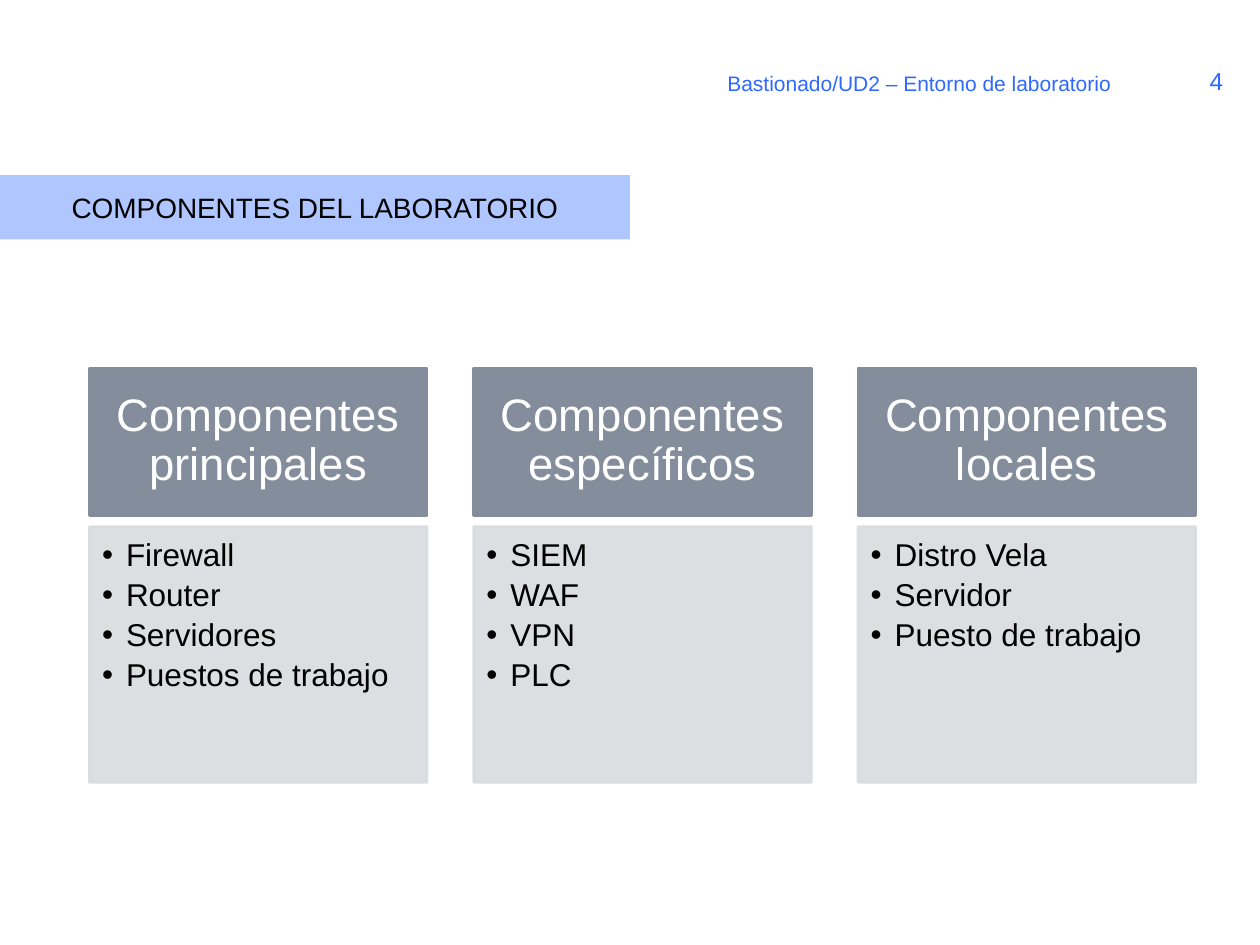
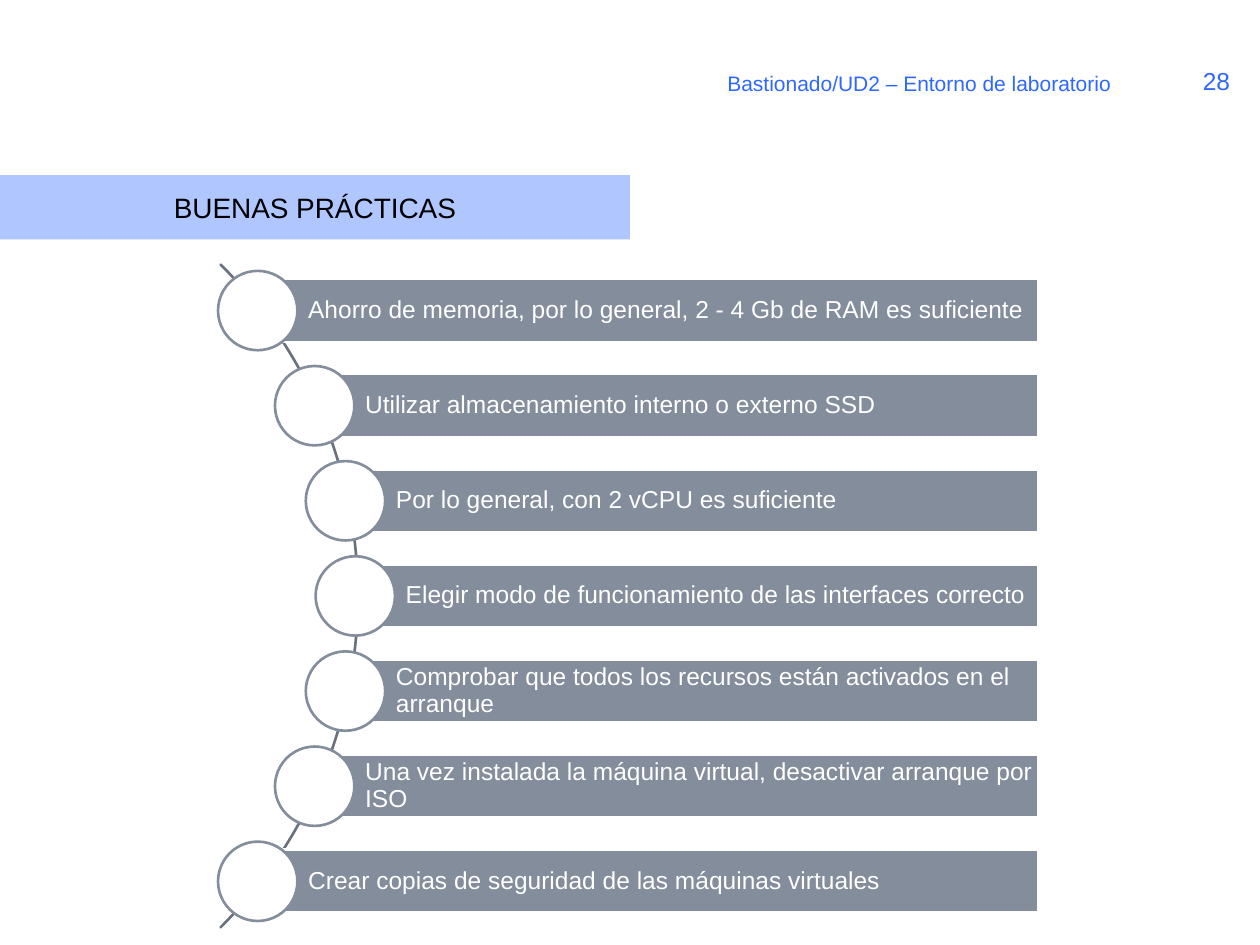
from dataclasses import dataclass
from math import sqrt

from lxml.etree import SubElement
from pptx import Presentation
from pptx.dml.color import RGBColor
from pptx.enum.shapes import MSO_SHAPE
from pptx.enum.text import MSO_ANCHOR, MSO_AUTO_SIZE, PP_ALIGN
from pptx.oxml.ns import qn
from pptx.util import Inches, Pt

COLS, ROWS = 100, 75
WIDTH, HEIGHT = Inches(10), Inches(7.5)
FONT = "Arial"
BLUE, BAND, SLATE, ARC = "2E68FF", "AFC6FF", "838D9B", "69717C"
PALE, WHITE, BLACK = "D9DBDE", "FFFFFF", "000000"
RUNNING_HEAD = "Bastionado/UD2 – Entorno de laboratorio"


@dataclass(frozen=True)
class Box:
    col: float
    row: float
    cols: float
    rows: float

    def place(self, s) -> None:
        s.left, s.top = x(self.col), y(self.row)
        s.width, s.height = x(self.cols), y(self.rows)


@dataclass(frozen=True)
class TextStyle:
    size: float
    color: str
    align: PP_ALIGN = PP_ALIGN.LEFT
    anchor: MSO_ANCHOR = MSO_ANCHOR.MIDDLE
    insets: tuple[float, float, float, float] = (1, 0.5, 1, 0.5)
    spacing: float = 1.0
    after: float = 0
    bullet: bool = False


@dataclass(frozen=True)
class Card:
    heading: str
    items: tuple[str, ...]


NUMBER = TextStyle(14, BLUE, PP_ALIGN.CENTER)
HEAD = TextStyle(12, BLUE, PP_ALIGN.RIGHT, insets=(1, 0, 1, 0.5))
TITLE = TextStyle(16, BLACK, PP_ALIGN.CENTER)
CARD_HEADING = TextStyle(26, WHITE, PP_ALIGN.CENTER, insets=(2, 1.2, 2, 1.2), spacing=0.9)
CARD_LIST = TextStyle(18, BLACK, anchor=MSO_ANCHOR.TOP, insets=(1, 1, 1.4, 1.6),
                      spacing=0.9, after=3.4, bullet=True)
BAR_TEXT = TextStyle(14, WHITE, insets=(4, 0.4, 0.4, 0.4), spacing=0.9)

CARDS = (
    Card("Componentes principales", ("Firewall", "Router", "Servidores", "Puestos de trabajo")),
    Card("Componentes específicos", ("SIEM", "WAF", "VPN", "PLC")),
    Card("Componentes locales", ("Distro Vela", "Servidor", "Puesto de trabajo")),
)
PRACTICES = (
    "Ahorro de memoria, por lo general, 2 - 4 Gb de RAM es suficiente",
    "Utilizar almacenamiento interno o externo SSD",
    "Por lo general, con 2 vCPU es suficiente",
    "Elegir modo de funcionamiento de las interfaces correcto",
    "Comprobar que todos los recursos están activados en el arranque",
    "Una vez instalada la máquina virtual, desactivar arranque por ISO",
    "Crear copias de seguridad de las máquinas virtuales",
)


def x(cols: float) -> int:
    return round(WIDTH * cols / COLS)


def y(rows: float) -> int:
    return round(HEIGHT * rows / ROWS)


def rgb(color: str) -> RGBColor:
    return RGBColor.from_string(color)


def paint(s, fill: str | None, line: str | None = None, opacity: int = 100) -> None:
    s.shadow.inherit = False
    if fill:
        s.fill.solid()
        s.fill.fore_color.rgb = rgb(fill)
    else:
        s.fill.background()
    if line:
        s.line.color.rgb = rgb(line)
        s.line.width = Pt(1.5)
    else:
        s.line.fill.background()
    if opacity < 100:
        for color in s._element.spPr.iter(qn("a:srgbClr")):
            SubElement(color, qn("a:alpha"), val=str(opacity * 1000))


def add_bullet(p) -> None:
    pPr = p._p.get_or_add_pPr()
    pPr.set("marL", str(x(1.9)))
    pPr.set("indent", str(-x(1.9)))
    SubElement(pPr, qn("a:buFont"), typeface=FONT)
    SubElement(pPr, qn("a:buChar"), char="•")


def write(s, lines: tuple[str, ...], style: TextStyle) -> None:
    tf = s.text_frame
    tf.word_wrap = True
    tf.auto_size = MSO_AUTO_SIZE.NONE
    tf.vertical_anchor = style.anchor
    left, top, right, bottom = style.insets
    tf.margin_left, tf.margin_right = x(left), x(right)
    tf.margin_top, tf.margin_bottom = y(top), y(bottom)
    for i, line in enumerate(lines):
        p = tf.paragraphs[0] if i == 0 else tf.add_paragraph()
        p.alignment = style.align
        p.line_spacing = style.spacing
        p.space_before, p.space_after = Pt(0), Pt(style.after)
        if style.bullet:
            add_bullet(p)
        r = p.add_run()
        r.text = line
        r.font.name, r.font.size, r.font.bold = FONT, Pt(style.size), False
        r.font.color.rgb = rgb(style.color)


def add_shape(slide, kind: MSO_SHAPE, box: Box, fill: str | None, line: str | None = None):
    s = slide.shapes.add_shape(kind, x(box.col), y(box.row), x(box.cols), y(box.rows))
    paint(s, fill, line)
    return s


def add_label(slide, box: Box, text: str, style: TextStyle) -> None:
    s = slide.shapes.add_textbox(0, 0, 0, 0)
    box.place(s)
    write(s, (text,), style)


def add_slide(prs, layout: str, title: str, number: int):
    slide = prs.slides.add_slide(prs.slide_layouts.get_by_name(layout))
    add_label(slide, Box(93.3, 4.4, 6.5, 4), str(number), NUMBER)
    add_label(slide, Box(49.8, 5.2, 39.4, 3.3), RUNNING_HEAD, HEAD)
    s = slide.shapes.title
    Box(0, 13.9, 50, 5.1).place(s)
    paint(s, BAND)
    write(s, (title,), TITLE)
    return slide


def build_components(prs) -> None:
    slide = add_slide(prs, "Comparison", "COMPONENTES DEL LABORATORIO", 4)
    bodies = [s for s in slide.placeholders if s.placeholder_format.idx > 0]
    for i, (card, body) in enumerate(zip(CARDS, bodies)):
        col = 7.1 + 30.5 * i
        s = add_shape(slide, MSO_SHAPE.RECTANGLE, Box(col, 29.2, 26.8, 11.7), SLATE, SLATE)
        write(s, (card.heading,), CARD_HEADING)
        Box(col, 41.8, 26.8, 20.3).place(body)
        paint(body, PALE, PALE, opacity=90)
        write(body, card.items, CARD_LIST)
    for body in bodies[len(CARDS):]:
        body._element.getparent().remove(body._element)


def build_practices(prs) -> None:
    slide = add_slide(prs, "Title Only", "BUENAS PRÁCTICAS", 28)
    center_col, center_row, arc_radius = -8.8, 47.3, 37.2
    track_radius, step, right = 37, 7.55, 82.4
    bar_rows, dot = 5, 6.3

    arc = add_shape(slide, MSO_SHAPE.BLOCK_ARC,
                    Box(center_col - arc_radius, center_row - arc_radius,
                        2 * arc_radius, 2 * arc_radius), None, ARC)
    for i, value in enumerate((189, 27, 0)):
        arc.adjustments[i] = value

    for i, practice in enumerate(PRACTICES):
        offset = (i - len(PRACTICES) // 2) * step
        col = center_col + sqrt(track_radius ** 2 - offset ** 2)
        row = center_row + offset
        bar = add_shape(slide, MSO_SHAPE.RECTANGLE,
                        Box(col, row - bar_rows / 2, right - col, bar_rows), SLATE, WHITE)
        write(bar, (practice,), BAR_TEXT)
        add_shape(slide, MSO_SHAPE.OVAL,
                  Box(col - dot / 2, row - dot / 2, dot, dot), WHITE, SLATE)


def main() -> None:
    prs = Presentation()
    prs.slide_width, prs.slide_height = WIDTH, HEIGHT
    build_components(prs)
    build_practices(prs)
    prs.save("out.pptx")


if __name__ == "__main__":
    main()
